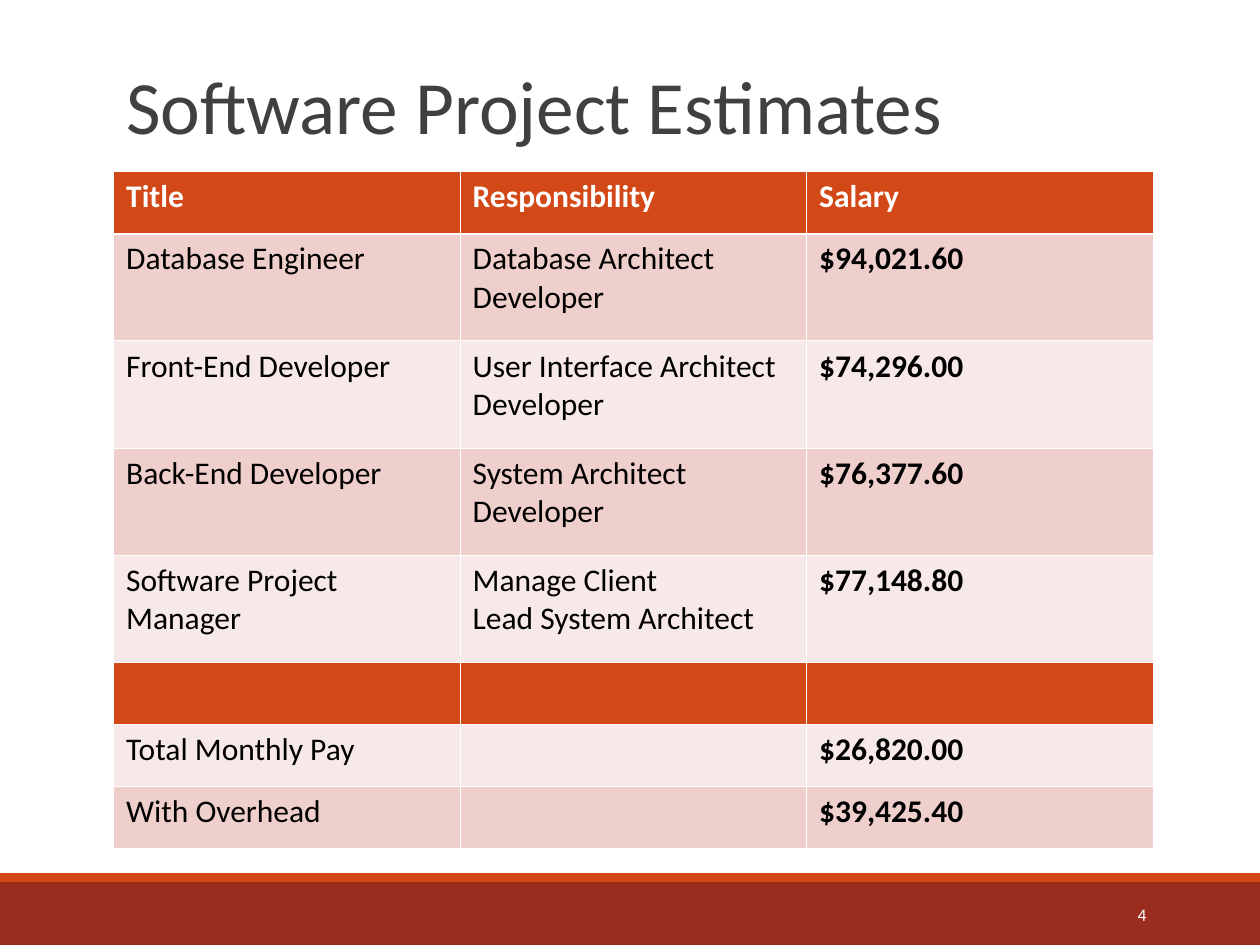
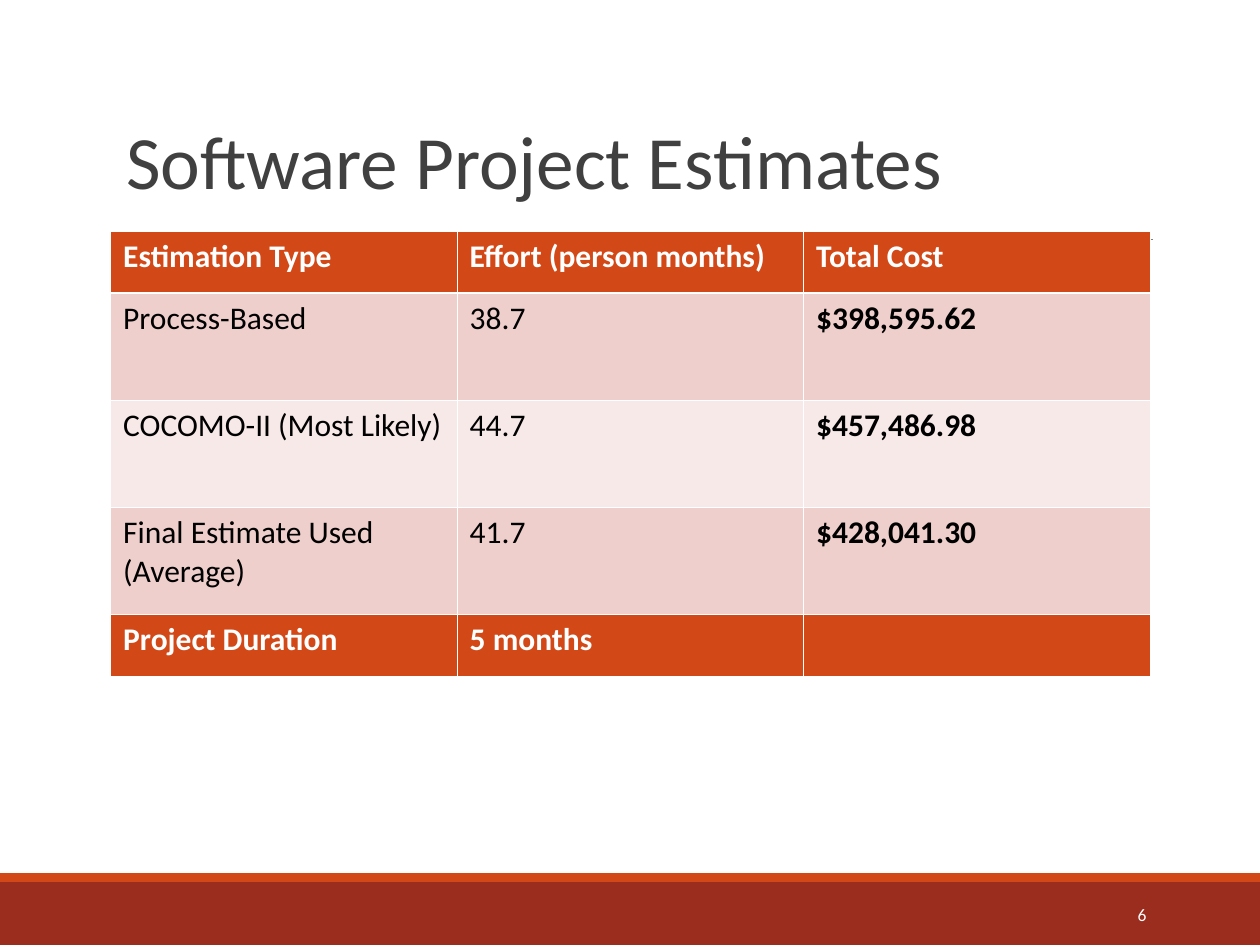
from dataclasses import dataclass

from lxml.etree import SubElement
from pptx import Presentation
from pptx.dml.color import RGBColor
from pptx.enum.shapes import MSO_CONNECTOR, MSO_SHAPE
from pptx.enum.text import MSO_ANCHOR, MSO_AUTO_SIZE, PP_ALIGN
from pptx.oxml.ns import qn
from pptx.util import Cm, Length, Pt

FONT = "Calibri"
BRICK = RGBColor(0x9B, 0x2D, 0x1F)
ORANGE = RGBColor(0xD3, 0x48, 0x17)
ROSE = RGBColor(0xEF, 0xCF, 0xCC)
BLUSH = RGBColor(0xF7, 0xE9, 0xE7)
GREY = RGBColor(0x7F, 0x7F, 0x7F)
CHARCOAL = RGBColor(0x40, 0x40, 0x40)
BLACK = RGBColor(0x00, 0x00, 0x00)
WHITE = RGBColor(0xFF, 0xFF, 0xFF)

WIDTH, HEIGHT = Cm(25.4), Cm(19.05)
TITLE_LEFT, TITLE_WIDTH = Cm(2.29), Cm(20.96)
COLUMN_WIDTH = Cm(6.985)
SHORT, TALL = Cm(1.25), Cm(2.16)
THIN, THICK = Pt(0.45), Pt(1.47)


@dataclass(frozen=True)
class Band:
    top: Length
    height: Length
    color: RGBColor


@dataclass(frozen=True)
class Row:
    cells: tuple[str, str, str]
    height: Length = SHORT
    accent: bool = False


@dataclass(frozen=True)
class EstimateSlide:
    number: str
    title_top: Length
    title_height: Length
    table_left: Length
    table_top: Length
    rows: tuple[Row, ...]


BANDS = (
    Band(Cm(17.78), Cm(1.27), BRICK),
    Band(Cm(17.6), Cm(0.18), ORANGE),
)

SLIDES = (
    EstimateSlide("4", Cm(1.27), Cm(1.96), Cm(2.29), Cm(3.46), (
        Row(("Title", "Responsibility", "Salary"), accent=True),
        Row(("Database Engineer", "Database Architect\nDeveloper", "$94,021.60"), TALL),
        Row(("Front-End Developer", "User Interface Architect\nDeveloper", "$74,296.00"), TALL),
        Row(("Back-End Developer", "System Architect\nDeveloper", "$76,377.60"), TALL),
        Row(("Software Project Manager", "Manage Client\nLead System Architect",
             "$77,148.80"), TALL),
        Row(("", "", ""), accent=True),
        Row(("Total Monthly Pay", "", "$26,820.00")),
        Row(("With Overhead", "", "$39,425.40")),
    )),
    EstimateSlide("6", Cm(2.3), Cm(2.1), Cm(2.23), Cm(4.66), (
        Row(("Estimation Type", "Effort (person months)", "Total Cost"), accent=True),
        Row(("Process-Based", "38.7", "$398,595.62"), TALL),
        Row(("COCOMO-II (Most Likely)", "44.7", "$457,486.98"), TALL),
        Row(("Final Estimate Used\n(Average)", "41.7", "$428,041.30"), TALL),
        Row(("Project Duration", "5 months", ""), accent=True),
    )),
)


def add_run(p, text: str, size: float, color: RGBColor, bold: bool = False) -> None:
    r = p.add_run()
    r.text = text
    r.font.name = FONT
    r.font.size = Pt(size)
    r.font.bold = bold
    r.font.color.rgb = color


def add_frame(slide, number: str) -> None:
    for band in BANDS:
        sp = slide.shapes.add_shape(MSO_SHAPE.RECTANGLE, 0, band.top, WIDTH, band.height)
        sp.shadow.inherit = False
        sp.fill.solid()
        sp.fill.fore_color.rgb = band.color
        sp.line.fill.background()

    rule = slide.shapes.add_connector(
        MSO_CONNECTOR.STRAIGHT, Cm(2.49), Cm(4.83), Cm(23.24), Cm(4.83))
    rule.line.color.rgb = GREY
    rule.line.width = Pt(0.5)
    SubElement(rule.element.spPr, qn("a:effectLst"))

    box = slide.shapes.add_textbox(Cm(20.62), Cm(17.93), Cm(2.74), Cm(1.02))
    tf = box.text_frame
    tf.word_wrap = True
    tf.vertical_anchor = MSO_ANCHOR.MIDDLE
    p = tf.paragraphs[0]
    p.alignment = PP_ALIGN.RIGHT
    add_run(p, number, 10, WHITE)


def add_title(slide, top: Length, height: Length) -> None:
    title = slide.shapes.title
    title.left, title.top = TITLE_LEFT, top
    title.width, title.height = TITLE_WIDTH, height
    tf = title.text_frame
    tf.auto_size = MSO_AUTO_SIZE.NONE
    tf.vertical_anchor = MSO_ANCHOR.MIDDLE
    p = tf.paragraphs[0]
    p.alignment = PP_ALIGN.LEFT
    p.line_spacing = 0.85
    add_run(p, "Software Project Estimates", 43, CHARCOAL)


def set_borders(cell, row_index: int) -> None:
    widths = {
        "a:lnL": THIN,
        "a:lnR": THIN,
        "a:lnT": THICK if row_index == 1 else THIN,
        "a:lnB": THICK if row_index == 0 else THIN,
    }
    tc_pr = cell._tc.get_or_add_tcPr()
    for tag, width in widths.items():
        ln = SubElement(tc_pr, qn(tag), w=str(int(width)))
        fill = SubElement(ln, qn("a:solidFill"))
        SubElement(fill, qn("a:srgbClr"), val=str(WHITE))


def add_estimate_table(slide, data: EstimateSlide) -> None:
    columns = len(data.rows[0].cells)
    table = slide.shapes.add_table(
        len(data.rows), columns, data.table_left, data.table_top,
        COLUMN_WIDTH * columns, sum(row.height for row in data.rows)).table
    table.horz_banding = False
    for column in table.columns:
        column.width = COLUMN_WIDTH
    for i, row in enumerate(data.rows):
        table.rows[i].height = row.height
        for j, text in enumerate(row.cells):
            cell = table.cell(i, j)
            set_borders(cell, i)
            cell.fill.solid()
            cell.fill.fore_color.rgb = ORANGE if row.accent else ROSE if i % 2 else BLUSH
            if not text:
                continue
            tf = cell.text_frame
            for k, line in enumerate(text.split("\n")):
                p = tf.add_paragraph() if k else tf.paragraphs[0]
                add_run(p, line, 18, WHITE if row.accent else BLACK,
                        row.accent or j == columns - 1)


def main() -> None:
    prs = Presentation()
    prs.slide_width, prs.slide_height = WIDTH, HEIGHT
    title_only = prs.slide_layouts[5]
    for data in SLIDES:
        slide = prs.slides.add_slide(title_only)
        add_frame(slide, data.number)
        add_title(slide, data.title_top, data.title_height)
        add_estimate_table(slide, data)
    prs.save("out.pptx")


if __name__ == "__main__":
    main()
